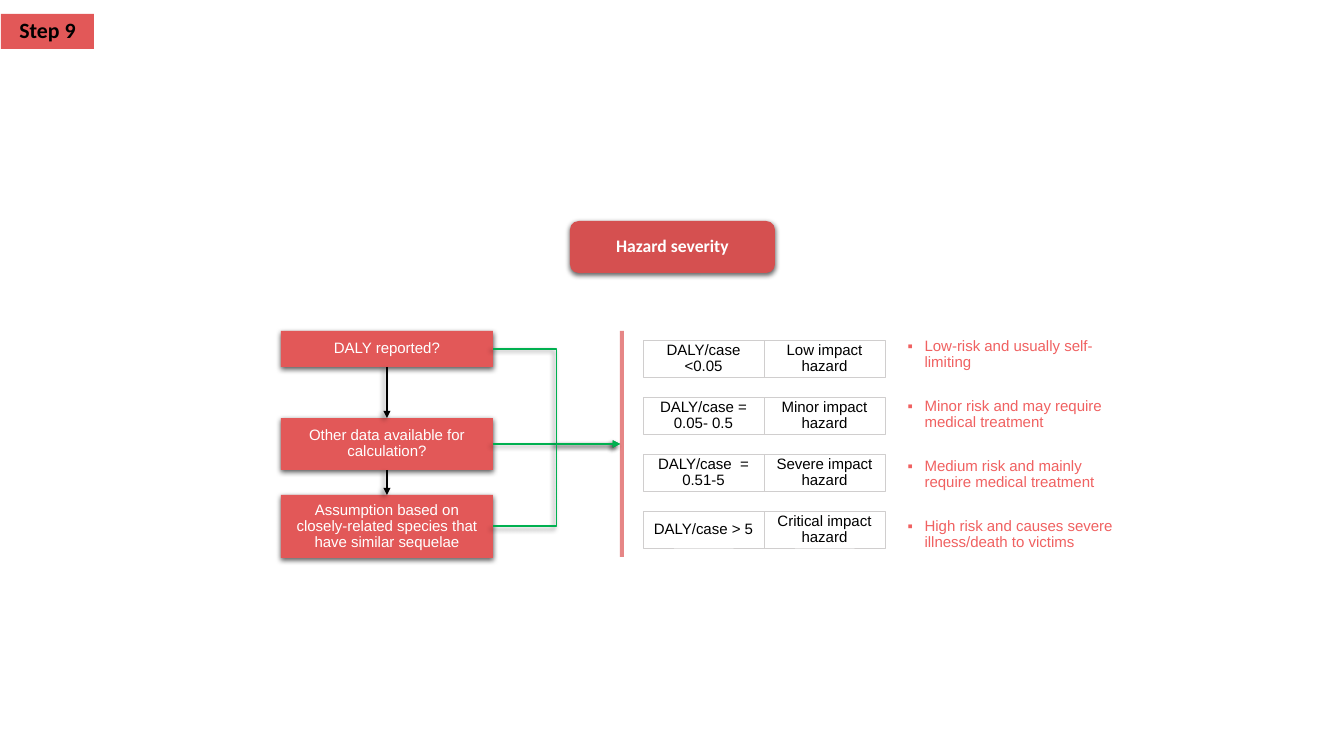
"""Build the hazard severity decision slide."""
from lxml.etree import SubElement
from pptx import Presentation
from pptx.dml.color import RGBColor
from pptx.enum.shapes import MSO_CONNECTOR, MSO_SHAPE
from pptx.enum.text import MSO_ANCHOR, MSO_AUTO_SIZE, PP_ALIGN
from pptx.oxml.ns import qn
from pptx.util import Emu, Pt

SLIDE = (1344, 756)
STEP = "Step 9"
HEADING = "Hazard severity"
QUESTIONS = [
    ("DALY reported?", 331, 36),
    ("Other data available for calculation?", 418, 52),
    ("Assumption based on closely-related species that have similar sequelae", 495, 63),
]
LEVELS = [
    ("DALY/case <0.05", "Low impact hazard", "Low-risk and usually self-limiting"),
    ("DALY/case = 0.05- 0.5", "Minor impact hazard",
     "Minor risk and may require medical treatment"),
    ("DALY/case  = 0.51-5", "Severe impact hazard",
     "Medium risk and mainly require medical treatment"),
    ("DALY/case > 5", "Critical impact hazard",
     "High risk and causes severe illness/death to victims"),
]
RED, WHITE, BLACK, GREEN = "E25858", "FFFFFF", "000000", "00B050"
BOX_SHADOW = (63, 4.5, 1.5, 90)
LINE_SHADOW = (40, 4, 3, 135)
LEVEL_X, LEVEL_Y, LEVEL_W, LEVEL_H, LEVEL_PITCH = 643, 340, 121, 37, 57
RISK_X, RISK_Y, RISK_W, RISK_H, RISK_PITCH = 899, 331, 229, 48, 60


def px(n):
    return Emu(round(n * 914400 / 87.3))


def rgb(value):
    return RGBColor.from_string(value)


def set_shadow(shape, shadow=None):
    effects = SubElement(shape._element.spPr, qn("a:effectLst"))
    if shadow:
        alpha, blur, dist, angle = shadow
        outer = SubElement(effects, qn("a:outerShdw"), blurRad=str(Pt(blur)),
                           dist=str(Pt(dist)), dir=str(angle * 60000),
                           algn="ctr", rotWithShape="0")
        color = SubElement(outer, qn("a:srgbClr"), val=BLACK)
        SubElement(color, qn("a:alpha"), val=str(alpha * 1000))


def set_text(shape, text, color, size=12.4, font="Arial", bold=False, align=PP_ALIGN.CENTER):
    tf = shape.text_frame
    tf.text = text
    tf.word_wrap = True
    tf.auto_size = MSO_AUTO_SIZE.NONE
    tf.vertical_anchor = MSO_ANCHOR.MIDDLE
    p = tf.paragraphs[0]
    p.alignment = align
    p.line_spacing = 0.9
    f = p.runs[0].font
    f.name, f.size, f.bold = font, Pt(size), bold
    f.color.rgb = rgb(color)
    return p


def add_box(s, x, y, w, h, fill, line=None, shadow=None, kind=MSO_SHAPE.RECTANGLE):
    sp = s.shapes.add_shape(kind, px(x), px(y), px(w), px(h))
    sp.fill.solid()
    sp.fill.fore_color.rgb = rgb(fill)
    if line:
        sp.line.color.rgb = rgb(line)
        sp.line.width = Pt(0.25)
    else:
        sp.line.fill.background()
    set_shadow(sp, shadow)
    return sp


def add_arrow(s, kind, start, start_site, end, end_site, color):
    line = s.shapes.add_connector(kind, 0, 0, 0, 0)
    line.begin_connect(start, start_site)
    line.end_connect(end, end_site)
    line.line.color.rgb = rgb(color)
    line.line.width = Pt(1.5)
    SubElement(line.line._get_or_add_ln(), qn("a:tailEnd"), type="triangle")
    set_shadow(line, LINE_SHADOW)


def add_risk(s, y, text):
    sp = s.shapes.add_textbox(px(RISK_X), px(y), px(RISK_W), px(RISK_H))
    p = set_text(sp, text, "F06161", align=PP_ALIGN.LEFT)
    props = p._p.get_or_add_pPr()
    props.set("marL", str(px(17)))
    props.set("indent", str(-px(17)))
    SubElement(props, qn("a:buFont"), typeface="Arial")
    SubElement(props, qn("a:buChar"), char="▪")


def main():
    prs = Presentation()
    prs.slide_width, prs.slide_height = map(px, SLIDE)
    s = prs.slides.add_slide(prs.slide_layouts[5])

    title = s.shapes.title
    title.left, title.top, title.width, title.height = map(px, (1, 14, 93, 35))
    title.fill.solid()
    title.fill.fore_color.rgb = rgb(RED)
    set_text(title, STEP, BLACK, 18, "Calibri", True)

    heading = add_box(s, 570, 221, 205, 52, "D55050", shadow=BOX_SHADOW,
                      kind=MSO_SHAPE.ROUNDED_RECTANGLE)
    set_text(heading, HEADING, WHITE, 14.5, "Calibri", True)

    questions = []
    for text, y, h in QUESTIONS:
        sp = add_box(s, 281, y, 212, h, RED, shadow=BOX_SHADOW)
        set_text(sp, text, WHITE)
        questions.append(sp)
    bar = add_box(s, 620, 331, 4, 226, "E68686")

    for upper, lower in zip(questions, questions[1:]):
        add_arrow(s, MSO_CONNECTOR.STRAIGHT, upper, 2, lower, 0, BLACK)
    kinds = (MSO_CONNECTOR.ELBOW, MSO_CONNECTOR.STRAIGHT, MSO_CONNECTOR.ELBOW)
    for question, kind in zip(questions, kinds):
        add_arrow(s, kind, question, 3, bar, 1, GREEN)

    for row, (*cells, risk) in enumerate(LEVELS):
        for col, text in enumerate(cells):
            sp = add_box(s, LEVEL_X + col * LEVEL_W, LEVEL_Y + row * LEVEL_PITCH,
                         LEVEL_W, LEVEL_H, WHITE, "D0CECE")
            set_text(sp, text, BLACK)
        add_risk(s, RISK_Y + row * RISK_PITCH, risk)

    prs.save("out.pptx")


if __name__ == "__main__":
    main()
